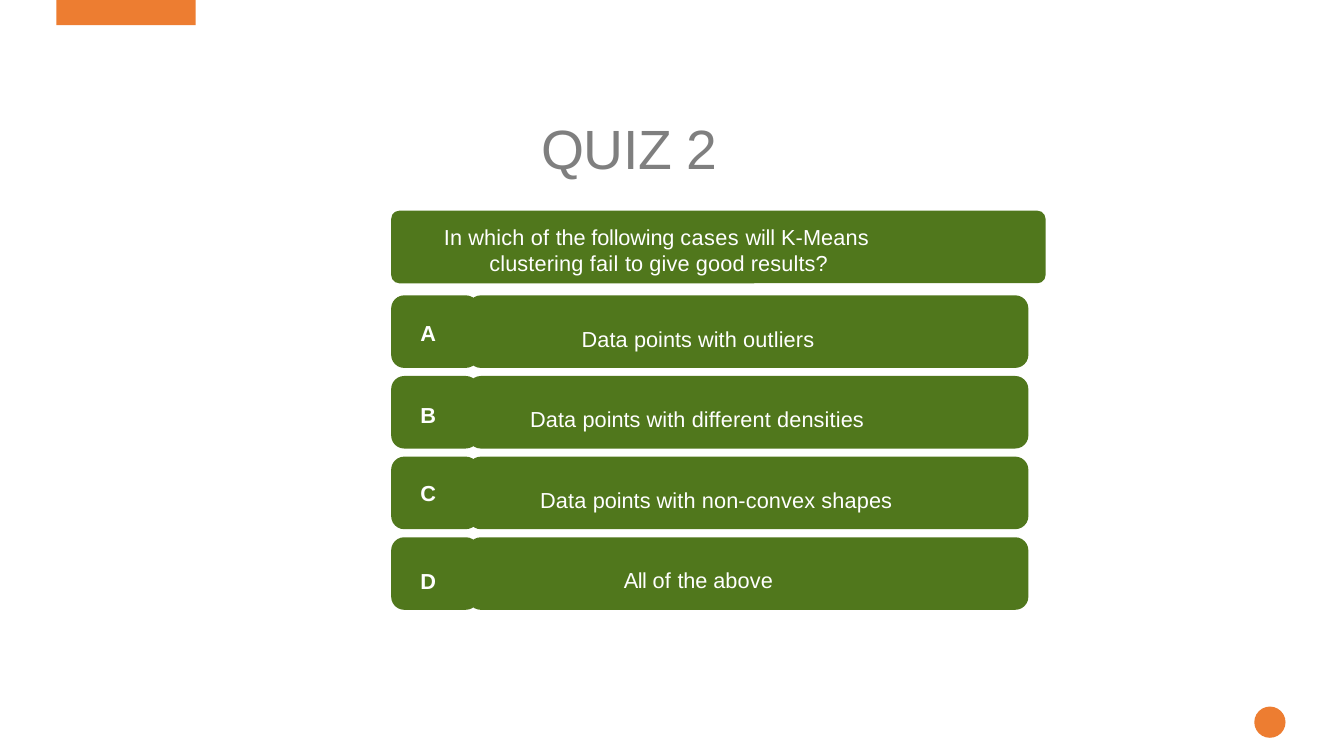
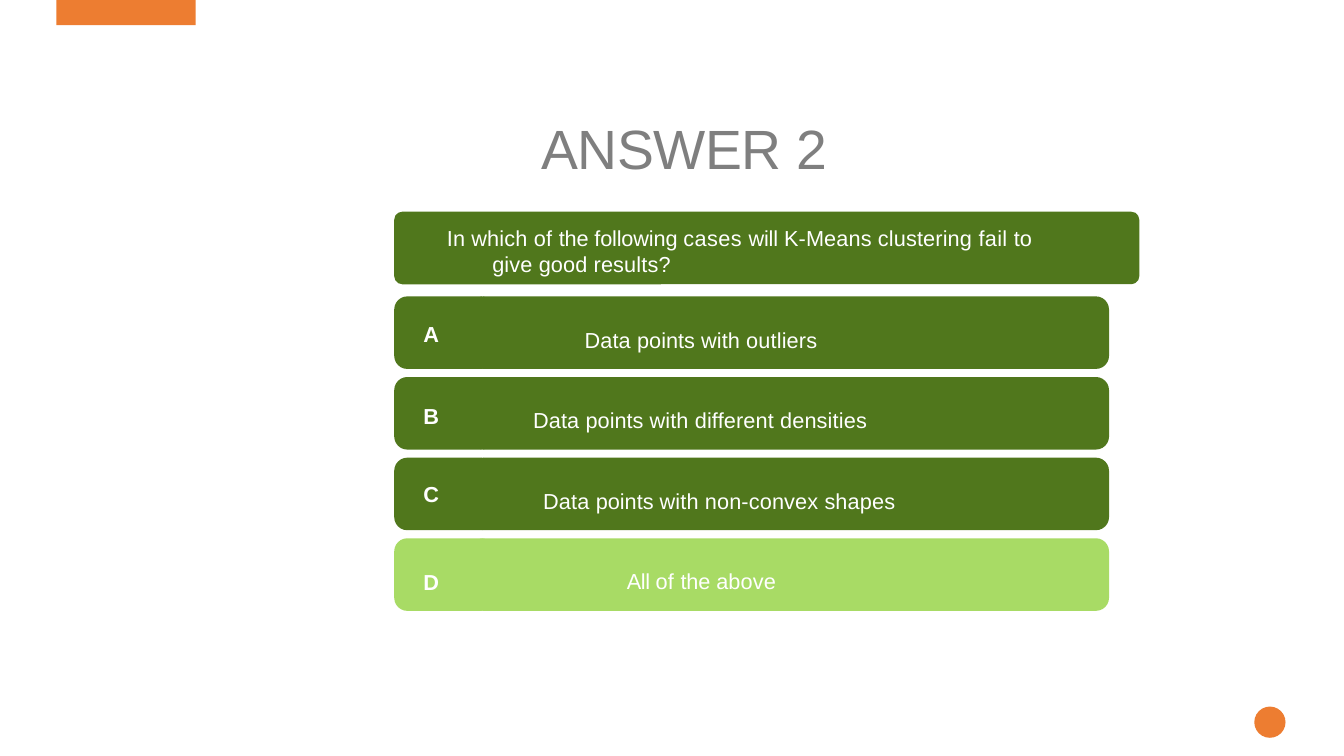
from pptx import Presentation
from pptx.dml.color import RGBColor
from pptx.enum.shapes import MSO_SHAPE as Preset
from pptx.enum.text import MSO_ANCHOR as Anchor, PP_ALIGN as Align
from pptx.util import Inches, Pt

QUESTION = [("In which ", 10), ("of ", 20), ("the following ", -10), ("cases ", 30),
            ("will ", -10), ("K-Means clustering ", 10), ("fail ", 20),
            ("to give good results?", 10)]
DATA_POINTS = [("Data ", 10), ("points ", 0)]
OPTIONS = [
    ("A", 0.16, 1.08, DATA_POINTS + [("with outliers", 10)]),
    ("B", 0.18, 0.57, DATA_POINTS + [("with different densities", 10)]),
    ("C", 0.15, 0.67, DATA_POINTS + [("with non-convex shapes", 10)]),
    ("D", 0.22, 1.50, [("All ", -30), ("of ", 20), ("the ", -10), ("above", 10)]),
]


def color(value):
    return RGBColor.from_string(value)


class QuizDeck:
    FONT = "Arial"
    ORANGE, GRAY, WHITE = "ED7D31", "7F7F7F", "FFFFFF"
    GREEN, LIGHT_GREEN = "50771C", "A8DB65"
    ROW_HEIGHT, ROW_PITCH, FIRST_ROW = 0.72, 0.8, 0.84
    ANSWER_OFFSET = 0.76

    def __init__(self):
        self.presentation = Presentation()
        self.presentation.slide_width = Inches(13.33)
        self.presentation.slide_height = Inches(7.5)
        self.slide = None

    def start_slide(self, title):
        self.slide = self.presentation.slides.add_slide(self.presentation.slide_layouts[6])
        self.shape(Preset.RECTANGLE, 0.56, 0, 1.38, 0.25, self.ORANGE)
        self.shape(Preset.OVAL, 12.44, 7.01, 0.31, 0.31, self.ORANGE)
        box = self.slide.shapes.add_textbox(Inches(5.26), Inches(1.06), Inches(4), Inches(0.77))
        self.add_text(box, [(title, -30)], 0.11, 0.07, size=39.5, ink=self.GRAY)

    def shape(self, preset, left, top, width, height, fill):
        shape = self.slide.shapes.add_shape(
            preset, Inches(left), Inches(top), Inches(width), Inches(height))
        shape.shadow.inherit = False
        shape.fill.solid()
        shape.fill.fore_color.rgb = color(fill)
        shape.line.fill.background()
        return shape

    def pill(self, left, top, width, fill, radius=0.13):
        shape = self.shape(Preset.ROUNDED_RECTANGLE, left, top, width, self.ROW_HEIGHT, fill)
        shape.adjustments[0] = radius / self.ROW_HEIGHT
        return shape

    def add_text(self, shape, pieces, left, top, right=0, size=15.5, ink=WHITE, bold=False):
        frame = shape.text_frame
        frame.word_wrap = True
        frame.vertical_anchor = Anchor.TOP
        frame.margin_left, frame.margin_top = Inches(left), Inches(top)
        frame.margin_right, frame.margin_bottom = Inches(right), 0
        paragraph = frame.paragraphs[0]
        paragraph.alignment = Align.LEFT
        for text, spacing in pieces:
            run = paragraph.add_run()
            run.text = text
            run.font.name = self.FONT
            run.font.size = Pt(size)
            run.font.bold = bold
            run.font.color.rgb = color(ink)
            run._r.get_or_add_rPr().set("spc", str(spacing))
        return paragraph

    def question(self, left, top, width):
        shape = self.pill(left, top, width, self.GREEN, radius=0.08)
        paragraph = self.add_text(shape, QUESTION, 0.49, 0.1, right=0.95)
        paragraph.line_spacing = 1.01
        properties = paragraph._p.get_or_add_pPr()
        properties.set("marL", str(Inches(0.46)))
        properties.set("indent", str(Inches(-0.45)))

    def options(self, left, top, key_width, answer_width, label_width, correct=None):
        for row, (letter, label_drop, indent, pieces) in enumerate(OPTIONS):
            row_top = top + self.FIRST_ROW + row * self.ROW_PITCH
            fill = self.LIGHT_GREEN if letter == correct else self.GREEN
            self.pill(left, row_top, key_width, fill)
            answer = self.pill(left + self.ANSWER_OFFSET, row_top, answer_width, fill)
            self.add_text(answer, pieces, indent + 0.01, 0.26)
            label = self.shape(Preset.RECTANGLE, left + 0.12, row_top + label_drop,
                               label_width, 0.37, fill)
            self.add_text(label, [(letter, 10)], 0.17, 0.08, bold=True)


def main():
    deck = QuizDeck()
    deck.start_slide("QUIZ 2")
    deck.question(3.88, 2.09, 6.49)
    deck.options(3.88, 2.09, 0.87, 5.56, 0.62)
    deck.start_slide("ANSWER 2")
    deck.question(3.91, 2.1, 7.39)
    deck.options(3.91, 2.1, 0.99, 6.33, 0.7, correct="D")
    deck.presentation.save("out.pptx")


if __name__ == "__main__":
    main()
